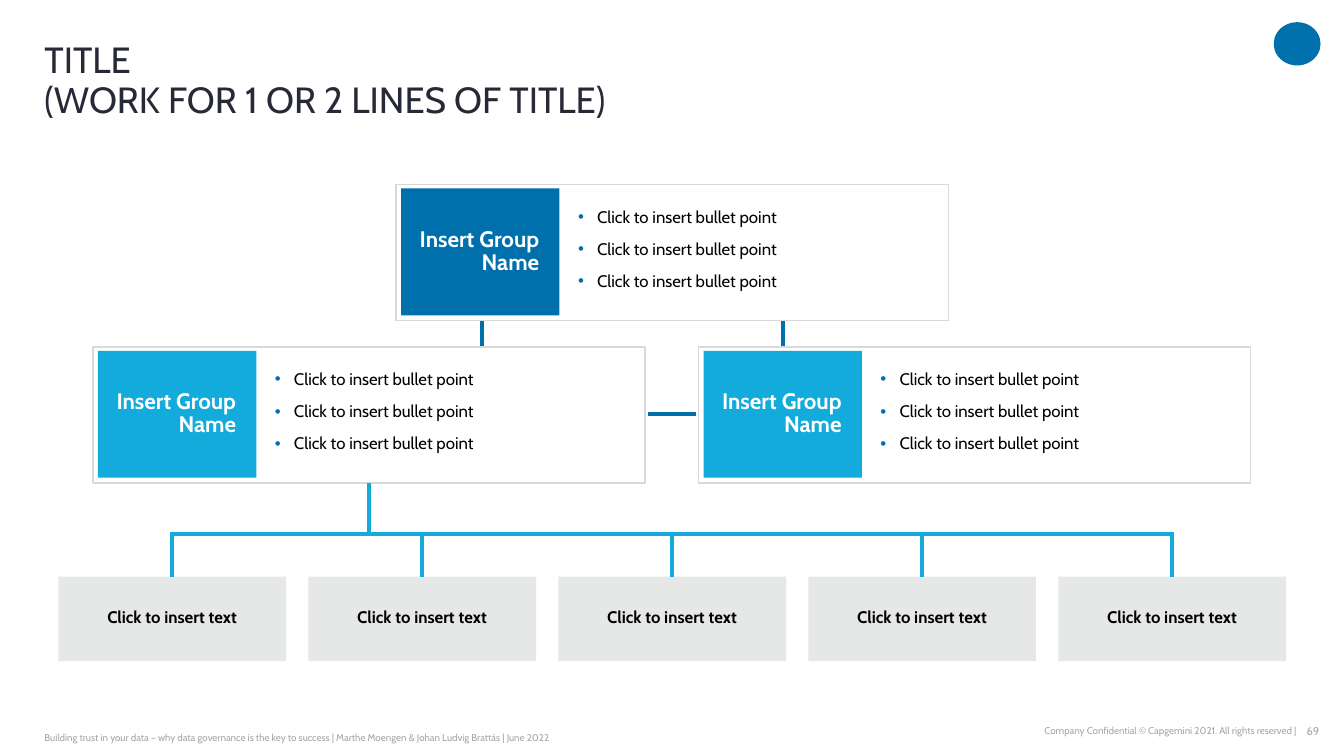
from lxml import etree
from pptx import Presentation
from pptx import util as u
from pptx.dml import color as c
from pptx.enum import shapes, text
from pptx.oxml import ns

BLUE, CYAN, GREY, BLACK, WHITE = "0070AD", "12ABDB", "A6A6A6", "000000", "FFFFFF"
LEFT, CENTER, RIGHT = text.PP_ALIGN.LEFT, text.PP_ALIGN.CENTER, text.PP_ALIGN.RIGHT
TOP, MIDDLE, BOTTOM = text.MSO_ANCHOR.TOP, text.MSO_ANCHOR.MIDDLE, text.MSO_ANCHOR.BOTTOM


def rgb(value):
    return c.RGBColor.from_string(value)


def add_text(place, lines, size, ink, align=LEFT, anchor=MIDDLE, bold=False,
             fill=None, margins=(0, 0, 0, 0), spacing=1.0, bullet=None):
    box = [u.Cm(length) for length in place]
    if fill:
        shape = slide.shapes.add_shape(shapes.MSO_SHAPE.RECTANGLE, *box)
        shape.shadow.inherit = False
        shape.fill.solid()
        shape.fill.fore_color.rgb = rgb(fill)
        shape.line.fill.background()
    else:
        shape = slide.shapes.add_textbox(*box)
    frame = shape.text_frame
    frame.word_wrap = True
    frame.vertical_anchor = anchor
    frame.margin_left, frame.margin_top, frame.margin_right, frame.margin_bottom = [
        u.Cm(margin) for margin in margins]
    for index, line in enumerate(lines):
        paragraph = frame.paragraphs[0] if index == 0 else frame.add_paragraph()
        if bullet:
            properties = paragraph._p.get_or_add_pPr()
            properties.set("marL", str(u.Cm(0.48)))
            properties.set("indent", str(u.Cm(-0.48)))
            bullet_color = etree.SubElement(properties, ns.qn("a:buClr"))
            etree.SubElement(bullet_color, ns.qn("a:srgbClr"), val=bullet)
            etree.SubElement(properties, ns.qn("a:buFont"), typeface="Arial")
            etree.SubElement(properties, ns.qn("a:buChar"), char="•")
            if index:
                paragraph.space_before = u.Pt(10)
        paragraph.alignment = align
        paragraph.line_spacing = spacing
        for part_index, part in enumerate(line.split("\n")):
            if part_index:
                paragraph.add_line_break()
            run = paragraph.add_run()
            run.text = part
            run.font.name = "Cabin"
            run.font.size = u.Pt(size)
            run.font.bold = bold
            run.font.color.rgb = rgb(ink)


presentation = Presentation()
presentation.slide_width = u.Cm(33.87)
presentation.slide_height = u.Cm(19.05)
slide = presentation.slides.add_slide(presentation.slide_layouts[6])

emblem = slide.shapes.add_shape(
    shapes.MSO_SHAPE.OVAL, u.Cm(32.1), u.Cm(0.56), u.Cm(1.18), u.Cm(1.09))
emblem.shadow.inherit = False
emblem.fill.solid()
emblem.fill.fore_color.rgb = rgb(BLUE)
emblem.line.fill.background()

add_text((1.12, 1.07, 30.4, 1.98), ["TITLE\n(WORK FOR 1 OR 2 LINES OF TITLE)"],
         26, "272936", anchor=BOTTOM, spacing=0.9)

groups = [(9.98, 4.65, BLUE), (2.34, 8.74, CYAN), (17.6, 8.74, CYAN)]
for left, top, fill in groups:
    border = slide.shapes.add_shape(
        shapes.MSO_SHAPE.RECTANGLE, u.Cm(left), u.Cm(top), u.Cm(13.92), u.Cm(3.43))
    border.shadow.inherit = False
    border.fill.background()
    border.line.color.rgb = rgb("D9D9D9")
    border.line.width = u.Pt(1)
    add_text((left + 0.13, top + 0.1, 3.99, 3.2), ["Insert Group Name"], 16, WHITE,
             RIGHT, bold=True, fill=fill, margins=(0.25, 0.13, 0.51, 0.13), spacing=0.85)
    add_text((left + 4.34, top + 0.48, 9.22, 2.44), ["Click to insert bullet point"] * 3,
             12, BLACK, anchor=TOP, margins=(0.25, 0.13, 0.25, 0.13), spacing=0.9,
             bullet=BLUE)

box_width, box_pitch, box_top, bus_top = 5.74, 6.3, 14.53, 13.46
box_lefts = [1.47 + box_pitch * index for index in range(5)]
drops = [left + box_width / 2 for left in box_lefts]
for left in box_lefts:
    add_text((left, box_top, box_width, 2.13), ["Click to insert text"], 12, BLACK,
             CENTER, bold=True, fill="E6E7E7", spacing=0.85)

links = [
    (12.14, 8.1, 12.14, 8.71, BLUE),
    (19.74, 8.1, 19.74, 8.71, BLUE),
    (16.33, 10.44, 17.53, 10.44, BLUE),
    (9.3, 12.17, 9.3, bus_top, CYAN),
    (drops[0] - 0.05, bus_top, drops[-1] + 0.05, bus_top, CYAN),
]
links += [(drop, bus_top, drop, box_top, CYAN) for drop in drops]
for *ends, ink in links:
    connector = slide.shapes.add_connector(
        shapes.MSO_CONNECTOR.STRAIGHT, *[u.Cm(end) for end in ends])
    connector.line.color.rgb = rgb(ink)
    connector.line.width = u.Pt(3)
    etree.SubElement(connector._element.spPr, ns.qn("a:effectLst"))

add_text((1.12, 18.11, 15.42, 0.94),
         ["Building trust in your data – why data governance is the key to success | "
          "Marthe Moengen & Johan Ludvig Brattås | June 2022"], 7, GREY)
add_text((20.07, 18.11, 12.6, 0.61),
         ["Company Confidential © Capgemini 2021. All rights reserved |"], 7, GREY, RIGHT)
add_text((32.61, 18.11, 0.64, 0.61), ["69"], 8, GREY, RIGHT, TOP,
         margins=(0, 0.13, 0, 0.13))

presentation.save("out.pptx")
